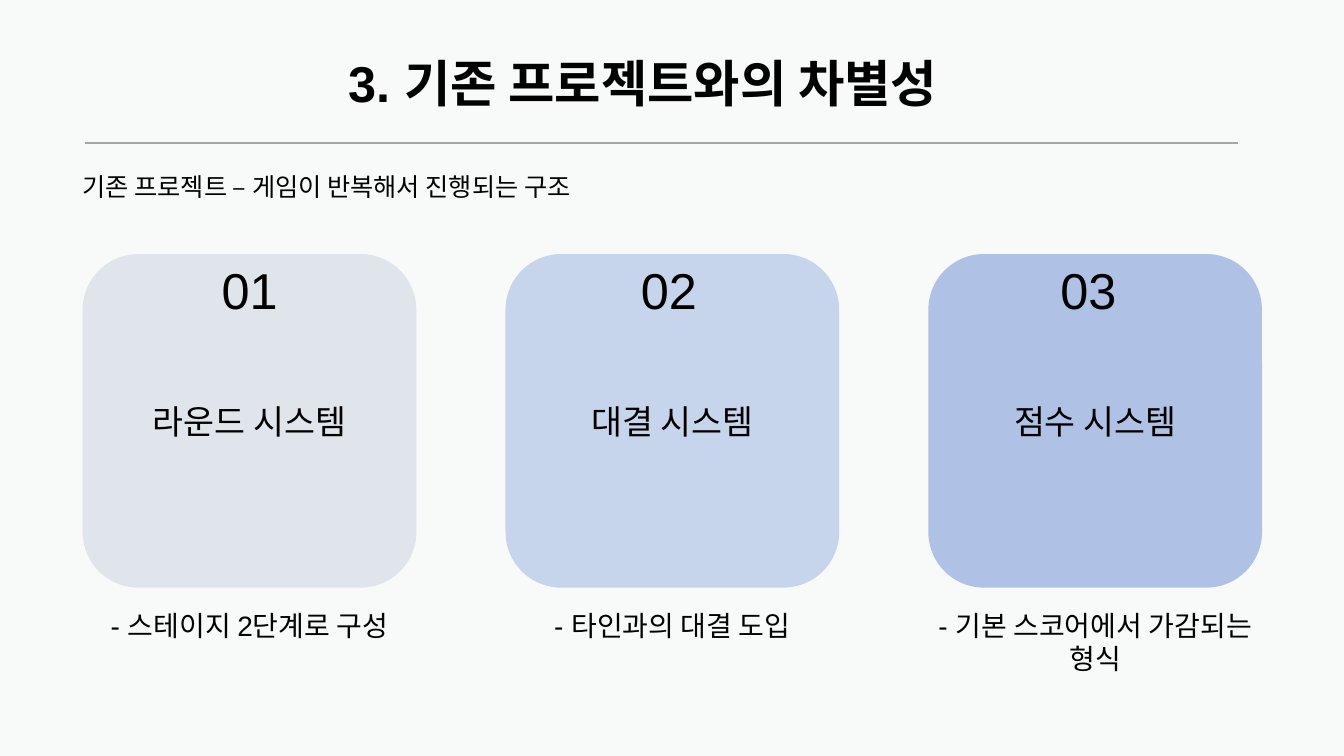
from dataclasses import dataclass

from lxml.etree import SubElement
from pptx import Presentation
from pptx.dml.color import RGBColor
from pptx.enum.shapes import MSO_CONNECTOR, MSO_SHAPE
from pptx.enum.text import MSO_ANCHOR, MSO_AUTO_SIZE, PP_ALIGN
from pptx.oxml.ns import qn
from pptx.util import Inches, Pt


@dataclass(frozen=True)
class Theme:
    face: str = "Arial"
    ink: str = "000000"
    back: str = "F8FAFA"
    rule: str = "A5A5A5"
    head: int = 36
    card: int = 24
    note: int = 20
    lead: int = 18


def apply(target, values):
    for name, value in values.items():
        setattr(target, name, value)


class Deck:
    def __init__(self, theme):
        self.theme = theme
        self.show = Presentation()
        apply(self.show, {"slide_width": Inches(13.33), "slide_height": Inches(7.5)})
        self.slide = self.show.slides.add_slide(self.show.slide_layouts[6])
        self.paint(self.slide.background.fill, theme.back)

    def place(self, left, top, width, height):
        wide, high = self.show.slide_width, self.show.slide_height
        shares = (left, wide), (top, high), (width, wide), (height, high)
        return [round(share * full / 100) for share, full in shares]

    def paint(self, fill, color):
        fill.solid()
        fill.fore_color.rgb = RGBColor.from_string(color)

    def label(self, shape, words, size, frame, lines=None, bold=False):
        apply(shape.text_frame, {"word_wrap": True, **frame})
        para = shape.text_frame.paragraphs[0]
        para.text = words
        apply(para, lines or {})
        apply(para.font, {"name": self.theme.face, "size": Pt(size), "bold": bold})
        para.font.color.rgb = RGBColor.from_string(self.theme.ink)

    def text(self, box, *style, **extra):
        shape = self.slide.shapes.add_textbox(*self.place(*box))
        self.label(shape, *style, **extra)

    def card(self, box, words, color, alpha):
        shape = self.slide.shapes.add_shape(
            MSO_SHAPE.ROUNDED_RECTANGLE, *self.place(*box))
        shape.shadow.inherit = False
        self.paint(shape.fill, color)
        tint = shape._element.spPr.find(qn("a:solidFill"))[0]
        SubElement(tint, qn("a:alpha")).set("val", str(alpha * 1000))
        shape.line.fill.background()
        self.label(shape, words, self.theme.card, MIDDLE, CENTER)

    def rule(self, left, right, top):
        start, level, end, _ = self.place(left, top, right, 0)
        line = self.slide.shapes.add_connector(
            MSO_CONNECTOR.STRAIGHT, start, level, end, level)
        line.line.width = Pt(1)
        line.line.color.rgb = RGBColor.from_string(self.theme.rule)
        SubElement(line._element.spPr, qn("a:effectLst"))


MIDDLE = {"vertical_anchor": MSO_ANCHOR.MIDDLE}
GROW = {"auto_size": MSO_AUTO_SIZE.SHAPE_TO_FIT_TEXT}
CENTER = {"alignment": PP_ALIGN.CENTER}
CARDS = [
    ("라운드 시스템", "D6DCE5", 69, "- 스테이지 2단계로 구성", 5.87),
    ("대결 시스템", "B4C7E7", 71, "- 타인과의 대결 도입", 5.87),
    ("점수 시스템", "8FAADC", 69, "- 기본 스코어에서 가감되는 형식", 10.27),
]
LEFT, STEP, WIDE = 6.15, 31.46, 24.83


def main():
    theme = Theme()
    deck = Deck(theme)
    deck.text((5.4, 5.73, 84.85, 11.33), "3. 기존 프로젝트와의 차별성", theme.head,
              MIDDLE, {**CENTER, "line_spacing": 0.9}, bold=True)
    deck.rule(6.3, 92.12, 18.93)
    deck.text((5.4, 22, 41.7, 5.33), "기존 프로젝트 – 게임이 반복해서 진행되는 구조",
              theme.lead, {**GROW, "word_wrap": False})
    for index, (name, color, alpha, note, high) in enumerate(CARDS):
        left = LEFT + index * STEP
        deck.card((left, 33.6, WIDE, 44.13), name, color, alpha)
        deck.text((15.75 + index * 31.2, 33.6, 6.5, 9.47), f"{index + 1:02}",
                  theme.head, GROW)
        deck.text((left, 79.8, WIDE, high), note, theme.note, GROW, CENTER)
    deck.show.save("out.pptx")


if __name__ == "__main__":
    main()
